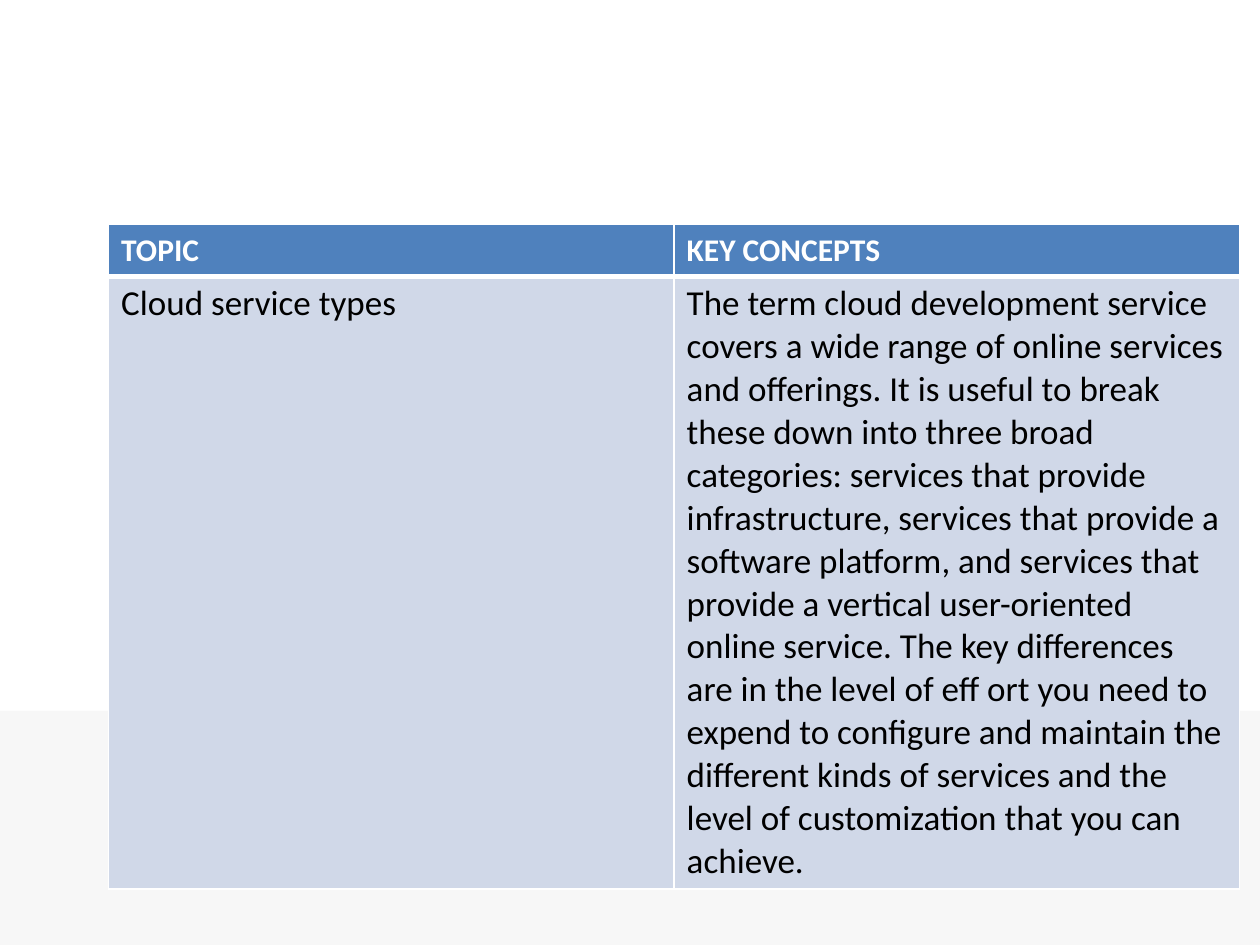
from lxml.etree import SubElement as Sub
from pptx import Presentation
from pptx.dml.color import RGBColor as RGB
from pptx.enum.shapes import MSO_SHAPE as Shape
from pptx.oxml.ns import qn
from pptx.util import Cm, Pt

HEAD = {"size": Pt(18), "bold": True, "name": "Calibri"}
BODY = {"size": Pt(20), "bold": False, "name": "Calibri"}
ROWS = [
    ("TOPIC", "KEY CONCEPTS"),
    ("Cloud service types",
     "The term cloud development service covers a wide range of online "
     "services and offerings. It is useful to break these down into three "
     "broad categories: services that provide infrastructure, services that "
     "provide a software platform, and services that provide a vertical "
     "user-oriented online service. The key differences are in the level of "
     "eff ort you need to expend to configure and maintain the different "
     "kinds of services and the level of customization that you can achieve."),
]
# Row height, text format, text colour, fill, and left/right/top/bottom rules
STYLES = [
    (Cm(1.04), HEAD, "FFFFFF", "4F81BD", (1, 1, 1, 3)),
    (Cm(12.3), BODY, "000000", "D0D8E8", (1, 1, 3, 1)),
]


def paint(fill, color):
    fill.solid()
    fill.fore_color.rgb = RGB.from_string(color)


def add_band(slide):
    band = slide.shapes.add_shape(Shape.RECTANGLE, 0, Cm(14.33), Cm(25.4), Cm(4.72))
    band.shadow.inherit = False
    paint(band.fill, "F7F7F7")
    band.line.fill.background()


def rule_cell(cell, widths):
    """Draw white edges; call before filling, as edges come first in tcPr."""
    props = cell._tc.get_or_add_tcPr()
    for side, width in zip("LRTB", widths):
        line = Sub(props, qn(f"a:ln{side}"), w=str(Pt(width)))
        Sub(Sub(line, qn("a:solidFill")), qn("a:srgbClr"), val="FFFFFF")


def set_text(cell, text, form, color):
    run = cell.text_frame.paragraphs[0].add_run()
    run.text = text
    for key, value in form.items():
        setattr(run.font, key, value)
    run.font.color.rgb = RGB.from_string(color)


def add_grid(slide):
    high = sum(style[0] for style in STYLES)
    grid = slide.shapes.add_table(2, 2, Cm(2.19), Cm(4.53), Cm(22.8), high).table
    for row, texts, style in zip(grid.rows, ROWS, STYLES):
        row.height, form, color, fill, widths = style
        for cell, text in zip(row.cells, texts):
            rule_cell(cell, widths)
            paint(cell.fill, fill)
            set_text(cell, text, form, color)


def main():
    deck = Presentation()
    deck.slide_width, deck.slide_height = Cm(25.4), Cm(19.05)
    slide = deck.slides.add_slide(deck.slide_layouts[6])
    paint(slide.background.fill, "FFFFFF")
    add_band(slide)
    add_grid(slide)
    deck.save("out.pptx")


if __name__ == "__main__":
    main()
